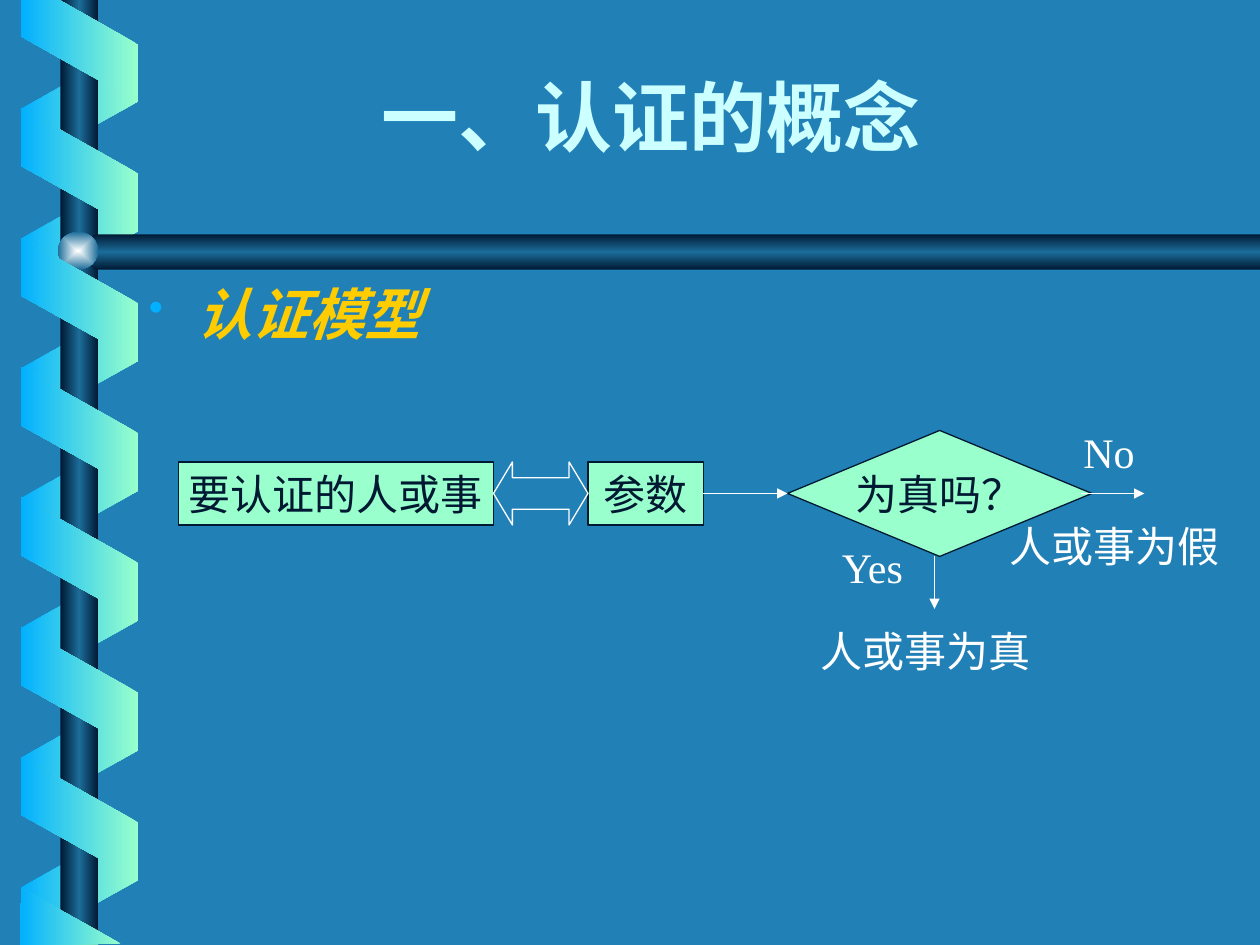
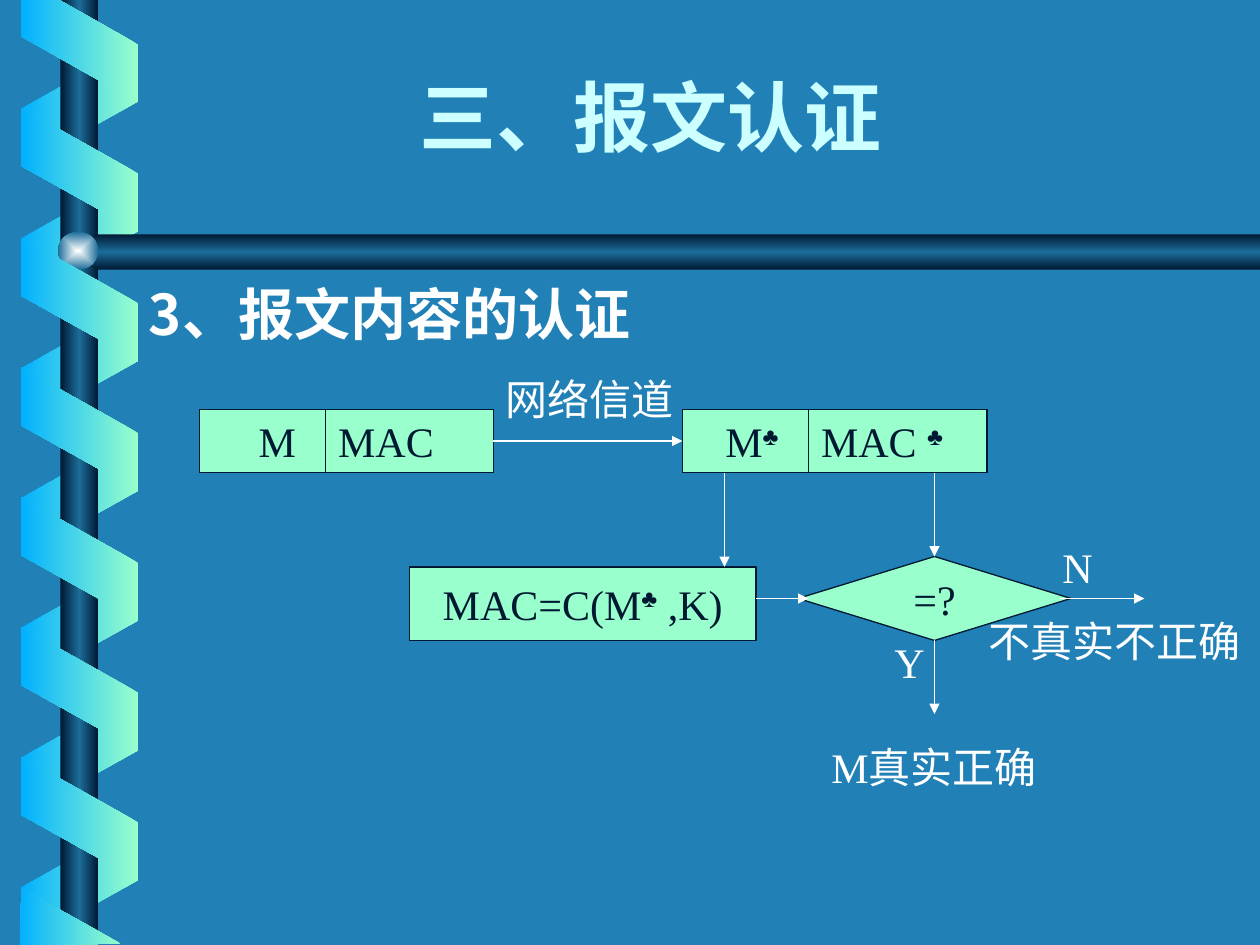
from lxml import etree
from pptx import Presentation
from pptx.dml.color import RGBColor
from pptx.enum.shapes import MSO_CONNECTOR, MSO_SHAPE
from pptx.enum.text import MSO_ANCHOR, MSO_AUTO_SIZE, PP_ALIGN
from pptx.oxml import parse_xml
from pptx.oxml.ns import qn
from pptx.util import Inches, Pt

RECT, OVAL = MSO_SHAPE.RECTANGLE, MSO_SHAPE.OVAL
RIBBON = MSO_SHAPE.PARALLELOGRAM
DIAMOND = MSO_SHAPE.FLOWCHART_DECISION
DOUBLE = MSO_SHAPE.LEFT_RIGHT_ARROW
LINE = MSO_CONNECTOR.STRAIGHT
CENTER, LEFT = PP_ALIGN.CENTER, PP_ALIGN.LEFT
MIDDLE, BOTTOM = MSO_ANCHOR.MIDDLE, MSO_ANCHOR.BOTTOM
GROW, FIXED = MSO_AUTO_SIZE.SHAPE_TO_FIT_TEXT, MSO_AUTO_SIZE.NONE

BACK = RGBColor(0x21, 0x81, 0xB7)
NAVY = RGBColor(0x00, 0x19, 0x32)
STEEL = RGBColor(0x1C, 0x6D, 0x9A)
SKY = RGBColor(0x01, 0xB0, 0xFF)
MINT = RGBColor(0x99, 0xFF, 0xCC)
ICE = RGBColor(0xCC, 0xFF, 0xFF)
GOLD = RGBColor(0xFF, 0xCC, 0x00)
PEARL = RGBColor(0xFE, 0xFF, 0xFF)
WHITE = RGBColor(0xFF, 0xFF, 0xFF)

SERIF, HAN = "Times New Roman", "Noto Sans CJK SC"
SANS, SUIT = "Roboto Condensed", "Arial"
CLUB = ("♣", SUIT)

# The slide is a grid of 120 columns and 90 rows
WIDE, HIGH = Inches(10), Inches(7.5)
CELL = WIDE // 120
DRAWML = "http://schemas.openxmlformats.org/drawingml/2006/main"


# Text and fill helpers
def write(par, runs, size, color, bold=False, slant=False):
    """Runs are (text, font) pairs; suit marks are raised."""
    for text, name in runs:
        run = par.add_run()
        run.text = text
        font = run.font
        font.name, font.size = name, Pt(size)
        font.bold, font.italic = bold, slant
        font.color.rgb = color
        props = run._r.get_or_add_rPr()
        if name == SUIT:
            props.set("baseline", "30000")
        else:
            etree.SubElement(props, qn("a:ea")).set("typeface", HAN)


def blend(shape, colors, angle=None):
    """Even colour stops, along an angle or out from the centre."""
    last = len(colors) - 1
    stops = "".join(
        f'<a:gs pos="{100000 * i // last}"><a:srgbClr val="{c}"/></a:gs>'
        for i, c in enumerate(colors))
    if angle is None:
        way = ('<a:path path="rect"><a:fillToRect l="50000" t="50000" '
               'r="50000" b="50000"/></a:path>')
    else:
        way = f'<a:lin ang="{angle * 60000}" scaled="0"/>'
    shape.shadow.inherit = False
    shape.line.fill.background()
    shape.fill.background()
    props = shape.element.spPr
    props.replace(props.find(qn("a:noFill")), parse_xml(
        f'<a:gradFill xmlns:a="{DRAWML}" rotWithShape="0">'
        f'<a:gsLst>{stops}</a:gsLst>{way}</a:gradFill>'))
    return shape


# Shared spiral, rod and bar
def spiral(shapes):
    def solid(kind, *box):
        return shapes.add_shape(kind, *map(Inches, box))

    def outline(*points):
        pen = shapes.build_freeform(*points[0], scale=Inches(0.01))
        pen.add_line_segments(points[1:], close=True)
        return pen.convert_to_shape()

    def ribbons(top, count, turn, colors, flip):
        for i in range(count):
            band = solid(RIBBON, 0.14, top + 1.03 * i, 0.98, 0.93)
            band.adjustments[0] = 0.56
            band.rotation = turn
            if flip:
                band.element.spPr.xfrm.set("flipH", "1")
            yield blend(band, colors, 180)

    metal, front = (NAVY, STEEL, NAVY), (MINT, SKY)
    parts = list(ribbons(0.37, 7, 90, (SKY, MINT), True))
    parts.append(blend(solid(RECT, 0.48, 0, 0.3, 7.5), metal, 180))
    bar = outline((1000, 186), (76, 186), (60, 200), (76, 214), (1000, 214))
    parts.append(blend(bar, metal, 90))
    parts.append(blend(solid(OVAL, 0.46, 1.84, 0.32, 0.3), (PEARL, STEEL)))
    parts += ribbons(0.88, 6, 270, front, False)
    # Cut ribbons at the top and bottom edges
    for points in (((17, 0), (17, 29), (109, 81), (109, 35), (47, 0)),
                   ((96, 749), (17, 705), (16, 750))):
        parts.append(blend(outline(*points), front, 180))
    return parts


def dress(layout, shapes):
    """Hand the shared parts over to the layout."""
    for mark, part in enumerate(spiral(shapes), 100):
        part.element.nvSpPr.cNvPr.set("id", str(mark))
        layout.shapes.element.append(part.element)


# Diagram parts, placed in cells from the board's corner
class Board:
    def __init__(self, slide, left, top):
        self.shapes = slide.shapes
        self.left, self.top = left, top

    def place(self, x, y):
        return (self.left + x) * CELL, (self.top + y) * CELL

    def node(self, kind, x, y, w, h, *runs):
        shape = self.shapes.add_shape(
            kind, *self.place(x, y), w * CELL, h * CELL)
        shape.shadow.inherit = False
        shape.fill.solid()
        shape.fill.fore_color.rgb = MINT
        shape.line.color.rgb, shape.line.width = NAVY, Pt(0.75)
        frame = shape.text_frame
        frame.word_wrap = False
        frame.vertical_anchor = MIDDLE
        par = frame.paragraphs[0]
        par.alignment = CENTER
        write(par, runs, 24, NAVY)
        return shape

    def double(self, x, y, w, h):
        shape = self.shapes.add_shape(
            DOUBLE, *self.place(x, y), w * CELL, h * CELL)
        shape.shadow.inherit = False
        shape.adjustments[1] = 0.3
        shape.fill.background()
        shape.line.color.rgb, shape.line.width = WHITE, Pt(0.75)

    def rule(self, x, y, right=0, down=0, color=WHITE, head=True):
        line = self.shapes.add_connector(
            LINE, *self.place(x, y), *self.place(x + right, y + down))
        line.line.color.rgb, line.line.width = color, Pt(0.75)
        props = line.element.spPr
        if head:
            tip = etree.SubElement(props.find(qn("a:ln")), qn("a:tailEnd"))
            tip.set("type", "triangle")
        etree.SubElement(props, qn("a:effectLst"))

    def note(self, text, x, y, w, h=6):
        box = self.shapes.add_textbox(*self.place(x, y), w * CELL, h * CELL)
        frame = box.text_frame
        frame.word_wrap = True
        frame.auto_size = GROW
        write(frame.paragraphs[0], [(text, SERIF)], 24, WHITE)

    def packet(self, x, y, w, inset, *runs):
        """A message box split after 12 columns, the tab just past it."""
        shape = self.node(RECT, x, y, w, 6, *runs)
        frame = shape.text_frame
        frame.word_wrap = True
        frame.margin_left = Inches(inset)
        par = frame.paragraphs[0]
        par.alignment = LEFT
        tabs = etree.SubElement(par._p.get_or_add_pPr(), qn("a:tabLst"))
        stop = etree.SubElement(tabs, qn("a:tab"))
        stop.set("pos", str(Inches(1.1 - inset)))
        stop.set("algn", "l")
        self.rule(x + 12, y, down=6, color=NAVY, head=False)


# Title and lead line
def head(slide, runs):
    title = slide.shapes.title
    title.left, title.top = 11 * CELL, 5 * CELL
    title.width, title.height = 102 * CELL, 11 * CELL
    frame = title.text_frame
    frame.auto_size = FIXED
    frame.vertical_anchor = BOTTOM
    par = frame.paragraphs[0]
    par.alignment = CENTER
    write(par, runs, 44, ICE, bold=True)


def lead(slide, runs, color, slant=False, dot=False):
    box = slide.shapes.add_textbox(13 * CELL, 26 * CELL, 104 * CELL, 59 * CELL)
    frame = box.text_frame
    frame.word_wrap = True
    par = frame.paragraphs[0]
    props = par._p.get_or_add_pPr()
    props.set("marL", str(Inches(0.38)))
    props.set("indent", str(-Inches(0.38)))
    if dot:
        tint = etree.SubElement(props, qn("a:buClr"))
        etree.SubElement(tint, qn("a:srgbClr")).set("val", str(SKY))
        etree.SubElement(props, qn("a:buSzPct")).set("val", "75000")
        etree.SubElement(props, qn("a:buChar")).set("char", "•")
    write(par, runs, 32, color, bold=True, slant=slant)


# Slide 1: the model
def model(slide):
    head(slide, [("一", HAN), ("、认证的概念", SANS)])
    lead(slide, [("认证模型", SERIF)], GOLD, slant=True, dot=True)
    board = Board(slide, 17, 40)
    board.node(RECT, 0, 4, 30, 6, ("要认证的人或事", SERIF))
    board.node(DIAMOND, 58, 1, 29, 12, ("为真吗？", SERIF))
    board.node(RECT, 39, 4, 11, 6, ("参数", SERIF))
    board.double(30, 4, 9, 6)
    board.rule(50, 7, right=8)
    board.rule(72, 13, down=5)
    board.rule(86, 7, right=6)
    board.note("Yes", 62, 11, 11)
    board.note("No", 85, 0, 10)
    board.note("人或事为假", 78, 9, 23)
    board.note("人或事为真", 60, 19, 23)


# Slide 2: checking a message
def check(slide):
    head(slide, [("三", HAN), ("、", SANS), ("报文认证", SERIF)])
    lead(slide, [("3、", HAN), ("报文内容的认证", SERIF)], WHITE)
    board = Board(slide, 19, 35)
    board.packet(0, 4, 28, 0.47, ("M\tMAC", SERIF))
    board.packet(46, 4, 29, 0.34,
                 ("M", SERIF), CLUB, ("\tMAC ", SERIF), CLUB)
    board.rule(28, 7, right=18)
    board.node(RECT, 20, 19, 33, 7, ("MAC=C(M", SERIF), CLUB, (" ,K)", SERIF))
    board.rule(50, 10, down=9)
    board.node(DIAMOND, 57, 18, 26, 8, ("=?", SERIF))
    board.rule(53, 22, right=5)
    board.rule(70, 10, down=8)
    board.note("网络信道", 28, 0, 20)
    board.rule(70, 26, down=7)
    board.rule(82, 22, right=8)
    board.note("N", 81, 16, 8)
    board.note("Y", 65, 25, 10)
    board.note("M真实正确", 59, 35, 22, 11)
    board.note("不真实不正确", 74, 23, 27)


def main():
    deck = Presentation()
    deck.slide_width, deck.slide_height = WIDE, HIGH
    fill = deck.slide_master.background.fill
    fill.solid()
    fill.fore_color.rgb = BACK
    layout = deck.slide_layouts[5]
    first = deck.slides.add_slide(layout)
    dress(layout, first.shapes)
    model(first)
    check(deck.slides.add_slide(layout))
    deck.save("out.pptx")


if __name__ == "__main__":
    main()
